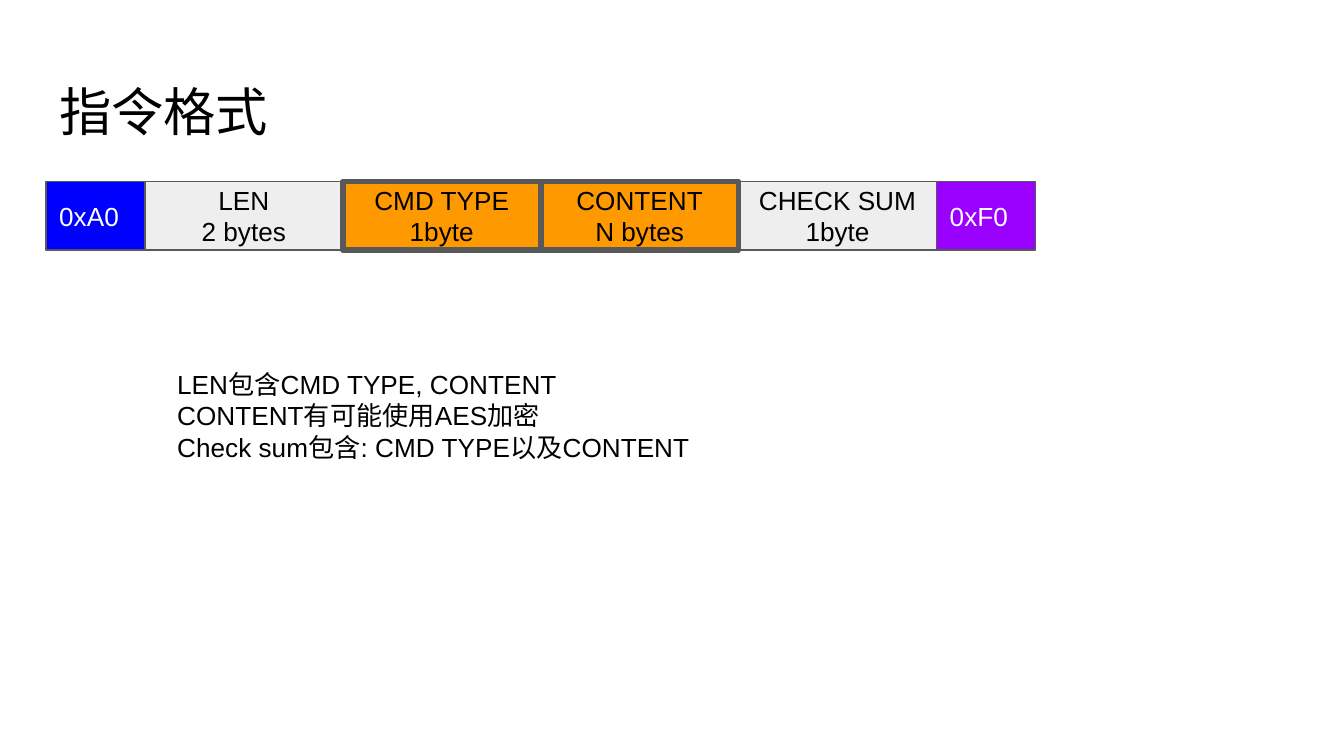
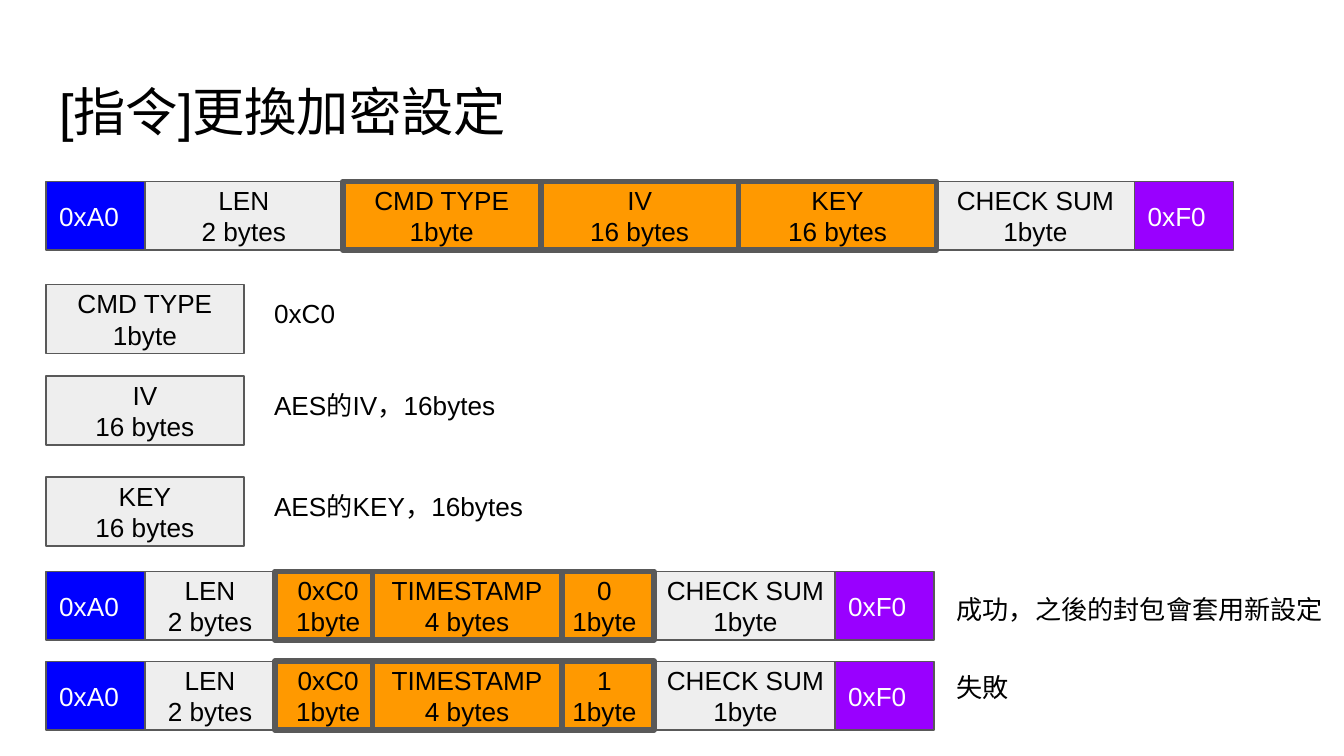
from lxml.etree import SubElement
from pptx import Presentation
from pptx.dml.color import RGBColor
from pptx.enum.shapes import MSO_SHAPE
from pptx.enum.text import MSO_ANCHOR, PP_ALIGN
from pptx.oxml.ns import qn
from pptx.util import Cm, Pt

RECTANGLE = MSO_SHAPE.RECTANGLE
TOP, MIDDLE = MSO_ANCHOR.TOP, MSO_ANCHOR.MIDDLE
LEFT, CENTER = PP_ALIGN.LEFT, PP_ALIGN.CENTER

BLACK = RGBColor(0x00, 0x00, 0x00)
WHITE = RGBColor(0xFF, 0xFF, 0xFF)
BORDER = RGBColor(0x59, 0x59, 0x59)
GREY = RGBColor(0xEE, 0xEE, 0xEE)
BLUE = RGBColor(0x00, 0x00, 0xFF)
PURPLE = RGBColor(0x99, 0x00, 0xFF)
ORANGE = RGBColor(0xFF, 0x99, 0x00)

FONT = "Arial"
MARGIN = 0.87
MARKER_WIDTH, FIELD_WIDTH, FIELD_HEIGHT = 1.87, 3.74, 1.3
COMMAND_TOP = 3.43

# Role of a field: fill, border width, text colour, alignment
ROLES = {
    "start": (BLUE, 0.75, WHITE, LEFT),
    "end": (PURPLE, 0.75, WHITE, LEFT),
    "frame": (GREY, 0.75, BLACK, CENTER),
    "payload": (ORANGE, 3, BLACK, CENTER),
}


def write_text(shape, paragraphs, size=14, color=BLACK, align=LEFT, anchor=TOP):
    """Fill a shape with paragraphs; a newline inside one is a line break."""
    frame = shape.text_frame
    frame.word_wrap = True
    frame.vertical_anchor = anchor
    frame.margin_left = frame.margin_right = Cm(0.25)
    frame.margin_top = frame.margin_bottom = Cm(0.25)
    for number, text in enumerate(paragraphs):
        paragraph = frame.add_paragraph() if number else frame.paragraphs[0]
        paragraph.alignment = align
        for line_number, line in enumerate(text.split("\n")):
            if line_number:
                paragraph.add_line_break()
            run = paragraph.add_run()
            run.text = line
            run.font.name = FONT
            run.font.size = Pt(size)
            run.font.color.rgb = color


def add_field(slide, role, text, left, top, width):
    fill, border, color, align = ROLES[role]
    field = slide.shapes.add_shape(
        RECTANGLE, Cm(left), Cm(top), Cm(width), Cm(FIELD_HEIGHT))
    field.shadow.inherit = False
    field.fill.solid()
    field.fill.fore_color.rgb = fill
    field.line.color.rgb = BORDER
    field.line.width = Pt(border)
    SubElement(field.line._ln, qn("a:round"))
    write_text(field, [text], color=color, align=align, anchor=MIDDLE)


prs = Presentation()
prs.slide_width, prs.slide_height = Cm(25.4), Cm(14.29)

# Each slide: title and the payload fields of its command
COMMANDS = [
    ("指令格式", ["CMD TYPE\n1byte", "CONTENT\nN bytes"]),
    ("[指令]更換加密設定", ["CMD TYPE\n1byte", "IV\n16 bytes", "KEY\n16 bytes"]),
]
slides = []
for title, payload in COMMANDS:
    slide = prs.slides.add_slide(prs.slide_layouts[6])
    slides.append(slide)
    title_box = slide.shapes.add_textbox(Cm(MARGIN), Cm(1.24), Cm(23.67), Cm(1.6))
    write_text(title_box, [title], size=28)

    fields = [("frame", "LEN\n2 bytes")]
    fields += [("payload", text) for text in payload]
    fields += [("frame", "CHECK SUM\n1byte")]
    placed = [(role, text, MARGIN + MARKER_WIDTH + i * FIELD_WIDTH, FIELD_WIDTH)
              for i, (role, text) in enumerate(fields)]
    end_left = MARGIN + MARKER_WIDTH + len(fields) * FIELD_WIDTH
    placed += [("start", "0xA0", MARGIN, MARKER_WIDTH),
               ("end", "0xF0", end_left, MARKER_WIDTH)]
    # Thick payload borders lie above their neighbours
    for role, text, left, width in sorted(placed, key=lambda f: f[0] == "payload"):
        add_field(slide, role, text, left, COMMAND_TOP, width)

format_slide, encryption_slide = slides

# Notes on the command format
notes_box = format_slide.shapes.add_textbox(Cm(3.1), Cm(6.71), Cm(16.08), Cm(2.46))
write_text(notes_box, [
    "LEN包含CMD TYPE, CONTENT\nCONTENT有可能使用AES加密",
    "Check sum包含: CMD TYPE以及CONTENT",
])

# Meaning of each payload field
EXPLANATIONS = [
    (5.38, "CMD TYPE\n1byte", "0xC0"),
    (7.11, "IV\n16 bytes", "AES的IV，16bytes"),
    (9.02, "KEY\n16 bytes", "AES的KEY，16bytes"),
]
for top, field_text, meaning in EXPLANATIONS:
    add_field(encryption_slide, "frame", field_text, MARGIN, top, FIELD_WIDTH)
    meaning_box = encryption_slide.shapes.add_textbox(
        Cm(4.93), Cm(top), Cm(7), Cm(FIELD_HEIGHT))
    write_text(meaning_box, [meaning])

# Replies, fields from back to front because neighbours overlap
REPLIES = [
    (10.8, "0", 10.97, "成功，之後的封包會套用新設定"),
    (12.5, "1", 12.45, "失敗"),
]
for top, status, result_top, result in REPLIES:
    for role, text, left, width in [
        ("frame", "LEN\n2 bytes", 2.74, 2.46),
        ("start", "0xA0", MARGIN, MARKER_WIDTH),
        ("frame", "CHECK SUM\n1byte", 12.22, FIELD_WIDTH),
        ("payload", "0xC0\n1byte", 5.2, 2.01),
        ("payload", f"{status}\n1byte", 10.49, MARKER_WIDTH),
        ("payload", "TIMESTAMP\n4 bytes", 7.04, 3.58),
        ("end", "0xF0", 15.78, MARKER_WIDTH),
    ]:
        add_field(encryption_slide, role, text, left, top, width)
    result_box = encryption_slide.shapes.add_textbox(
        Cm(17.83), Cm(result_top), Cm(7.95), Cm(1.14))
    write_text(result_box, [result])

prs.save("out.pptx")
